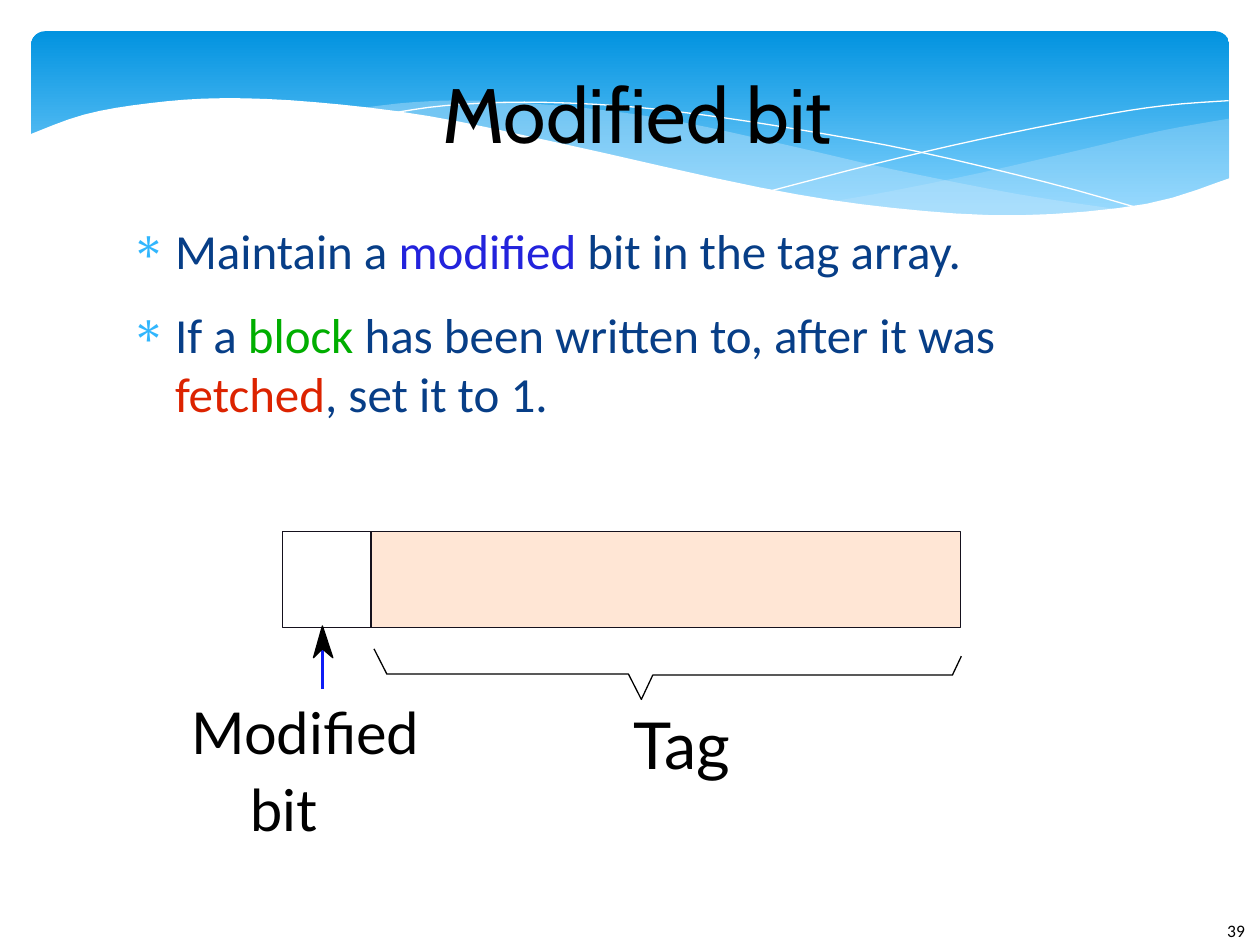
from lxml import etree
from pptx import Presentation, util as u
from pptx.dml.color import RGBColor
from pptx.enum import shapes, text
from pptx.oxml.ns import qn

NAVY, BLACK, WHITE, MIST = "073E87", "000000", "FFFFFF", "C6E7FC"
EDGE = "15111D"

SWELLS = [
    (29, [(24.79, 2.39), (23.39, 2.64), (21.87, 3), (19.79, 3.48), (17.93, 3.86),
          (16.79, 4.06)],
     [(16.79, 4.06), (18.26, 4.24), (19.84, 4.37), (21.21, 4.37), (22.58, 4.22),
      (23.75, 3.96), (24.79, 3.58)]),
    (40, [(22.68, 4.24), (20.5, 3.91), (17.93, 3.4), (15.98, 2.95), (13.74, 2.46),
          (11.81, 2.18), (9.65, 2.03), (8.33, 2.06), (7.26, 2.18)],
     [(7.26, 2.18), (9.19, 2.46), (11.4, 2.95), (14.38, 3.63), (16.89, 4.09),
      (19, 4.32), (20.78, 4.39), (21.77, 4.34), (22.68, 4.24)]),
]
STREAKS = [
    [(7.85, 2.29), (8.97, 2.13), (10.57, 2.06), (12.42, 2.13), (14.12, 2.31),
     (16.15, 2.62), (18.47, 3.05), (21.11, 3.68), (23.04, 4.22)],
    [(15.57, 3.84), (17.65, 3.3), (19.71, 2.82), (22, 2.36), (23.47, 2.13),
     (24.77, 2.03)],
]
WAVE = [(24.82, 3.58), (23.11, 4.11), (20.55, 4.34), (17.98, 4.19), (15.32, 3.78),
        (11.35, 2.9), (8.64, 2.34), (6.35, 2.06), (4.5, 1.98), (3.02, 2.08),
        (1.7, 2.31), (0.58, 2.72)]
BRACE = [(7.54, 13.08), (7.8, 13.59), (12.67, 13.59), (12.93, 14.1), (13.16, 13.61),
         (19.2, 13.61), (19.38, 13.23)]
BARB = [(6.5, 13.08), (6.71, 13.26), (6.5, 12.62), (6.32, 13.26)]
BULLETS = [
    [("Maintain a ", NAVY), ("modified", "2323DC"), (" bit in the tag array.", NAVY)],
    [("If a ", NAVY), ("block", "00AE00"),
     (" has been written to, after it was ", NAVY), ("fetched", "DC2300"),
     (", set it to 1.", NAVY)],
]


def rgb(code):
    """Turn a hex string into a colour."""
    return RGBColor.from_string(code)


def curve(knots, steps=4):
    """Return points on a smooth curve through the knots."""
    pts = [knots[0], *knots, knots[-1]]
    out = []
    for a, b, c, d in zip(pts, pts[1:], pts[2:], pts[3:]):
        for t in (i / steps for i in range(steps)):
            out.append(tuple(
                q + t * (r - p + t * (2 * p - 5 * q + 4 * r - s
                                      + t * (3 * q - p - 3 * r + s))) / 2
                for p, q, r, s in zip(a, b, c, d)))
    return out + [knots[-1]]


def paint(shape, fill=None, line=None, alpha=None):
    """Set the fill and hairline of a shape and drop its shadow."""
    shape.shadow.inherit = False
    if fill:
        shape.fill.solid()
        shape.fill.fore_color.rgb = rgb(fill)
        if alpha:
            clr = shape.fill._xPr.find(".//" + qn("a:srgbClr"))
            etree.SubElement(clr, qn("a:alpha"), val=str(alpha * 1000))
    else:
        shape.fill.background()
    if line:
        shape.line.color.rgb = rgb(line)
        shape.line.width = u.Pt(0)
    else:
        shape.line.fill.background()


def trace(slide, pts, close=False, **look):
    """Draw an outline through points given in centimetres."""
    ends = [(u.Cm(x), u.Cm(y)) for x, y in pts]
    pen = slide.shapes.build_freeform(*ends[0])
    pen.add_line_segments(ends[1:], close=close)
    paint(pen.convert_to_shape(), **look)


def block(slide, x, y, w, h, **look):
    """Draw a rectangle."""
    box = slide.shapes.add_shape(shapes.MSO_SHAPE.RECTANGLE,
                                 u.Cm(x), u.Cm(y), u.Cm(w), u.Cm(h))
    paint(box, **look)


def write(para, words, font="Calibri", size=28, color=BLACK):
    """Add a formatted run to a paragraph."""
    run = para.add_run()
    run.text = words
    run.font.name, run.font.size = font, u.Pt(size)
    run.font.color.rgb = rgb(color)


def frame(slide, x, y, w, h, inset=0):
    """Add a wrapping text box and return its text frame."""
    body = slide.shapes.add_textbox(u.Cm(x), u.Cm(y), u.Cm(w), u.Cm(h)).text_frame
    body.word_wrap = True
    body.margin_left = body.margin_right = u.Cm(inset)
    body.margin_top = body.margin_bottom = u.Cm(inset / 2)
    return body


def label(slide, words, x, y, w, h, inset=0, **form):
    """Add a one-line label."""
    write(frame(slide, x, y, w, h, inset).paragraphs[0], words, **form)


def bullet(para, mark="∗", color="31B6FD"):
    """Give a paragraph a hanging bullet."""
    prop = para._p.get_or_add_pPr()
    prop.set("marL", str(u.Cm(1.19)))
    prop.set("indent", str(u.Cm(-0.89)))
    tint = etree.SubElement(prop, qn("a:buClr"))
    etree.SubElement(tint, qn("a:srgbClr"), val=color)
    etree.SubElement(prop, qn("a:buChar"), char=mark)


def banner(slide):
    """Draw the gradient band and its waves."""
    band = slide.shapes.add_shape(shapes.MSO_SHAPE.ROUNDED_RECTANGLE,
                                  u.Cm(0.63), u.Cm(0.63), u.Cm(24.15), u.Cm(3.96))
    paint(band)
    band.adjustments[0] = 0.07
    band.fill.gradient()
    band.fill.gradient_angle = 270
    for stop, place, color in zip(band.fill.gradient_stops, (0, 0.9),
                                  ("0293E0", "83D3FE")):
        stop.position, stop.color.rgb = place, rgb(color)
    for alpha, top, base in SWELLS:
        trace(slide, curve(top) + curve(base), close=True, fill=MIST, alpha=alpha)
    for streak in STREAKS:
        trace(slide, curve(streak), line=WHITE)
    trace(slide, curve(WAVE) + [(0.58, 5.69), (24.82, 5.69)], close=True, fill=WHITE)


def head(slide, words):
    """Place and format the title above the banner."""
    title = slide.shapes.title
    slide.shapes._spTree.append(title._element)
    title.left, title.top = u.Cm(2.54), u.Cm(0.97)
    title.width, title.height = u.Cm(20.6), u.Cm(2.59)
    body = title.text_frame
    body.margin_left = body.margin_right = body.margin_top = body.margin_bottom = 0
    body.vertical_anchor = text.MSO_ANCHOR.MIDDLE
    body.auto_size = text.MSO_AUTO_SIZE.NONE
    body.paragraphs[0].alignment = text.PP_ALIGN.CENTER
    write(body.paragraphs[0], words, font="Cabin", size=44)


def points(slide):
    """Write the bulleted statements."""
    body = frame(slide, 2.34, 4.45, 20.6, 4.88)
    for i, runs in enumerate(BULLETS):
        para = body.add_paragraph() if i else body.paragraphs[0]
        para.space_after = u.Pt(14.1)
        bullet(para)
        for words, color in runs:
            write(para, words, color=color)


def entry(slide):
    """Draw the tag entry with its modified bit."""
    block(slide, 7.47, 10.72, 11.89, 1.93, fill="FFE6D5", line=EDGE)
    label(slide, "Tag", 12.78, 14.2, 2.79, 1.73, font="Lato", size=37)
    trace(slide, BRACE, line=BLACK)
    block(slide, 5.69, 10.72, 1.8, 1.93, line=EDGE)
    for words, x, y in (("Modified", 3.86, 14.05), ("bit", 5.05, 15.6)):
        label(slide, words, x, y, 5.03, 1.6, font="Lato", size=33)
    stem = slide.shapes.add_connector(shapes.MSO_CONNECTOR.STRAIGHT, u.Cm(6.5),
                                      u.Cm(13.89), u.Cm(6.5), u.Cm(12.73))
    stem.line.color.rgb, stem.line.width = rgb("0E1DF6"), u.Pt(0)
    etree.SubElement(stem._element.spPr, qn("a:effectLst"))
    trace(slide, BARB, close=True, fill=BLACK, line=BLACK)


def main():
    """Build and save the slide."""
    deck = Presentation()
    deck.slide_width, deck.slide_height = u.Cm(25.4), u.Cm(19.05)
    slide = deck.slides.add_slide(deck.slide_layouts[5])
    banner(slide)
    label(slide, "39", 24.49, 18.42, 1.55, 1.02, inset=0.25, size=10)
    head(slide, "Modified bit")
    points(slide)
    entry(slide)
    deck.save("out.pptx")


if __name__ == "__main__":
    main()
